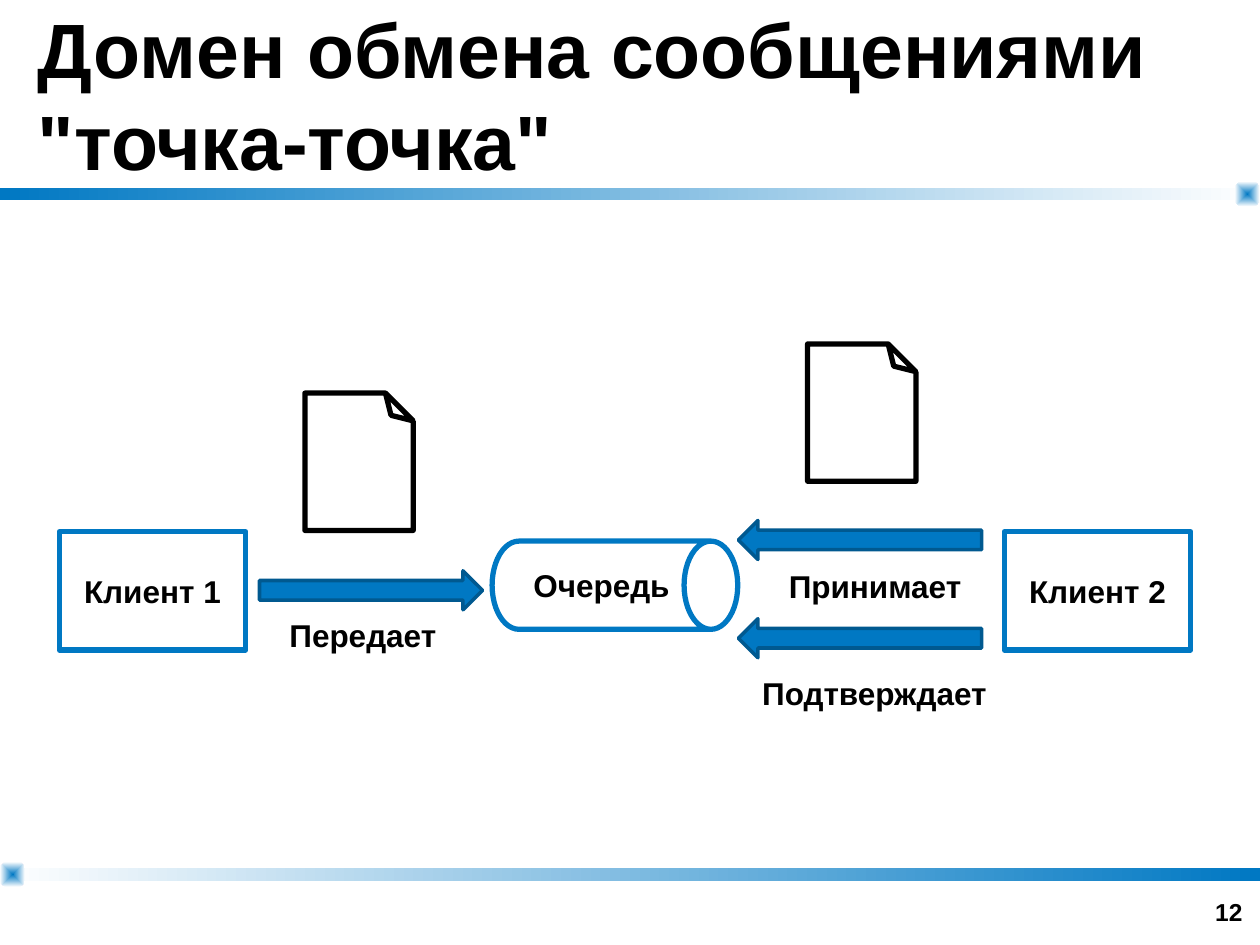
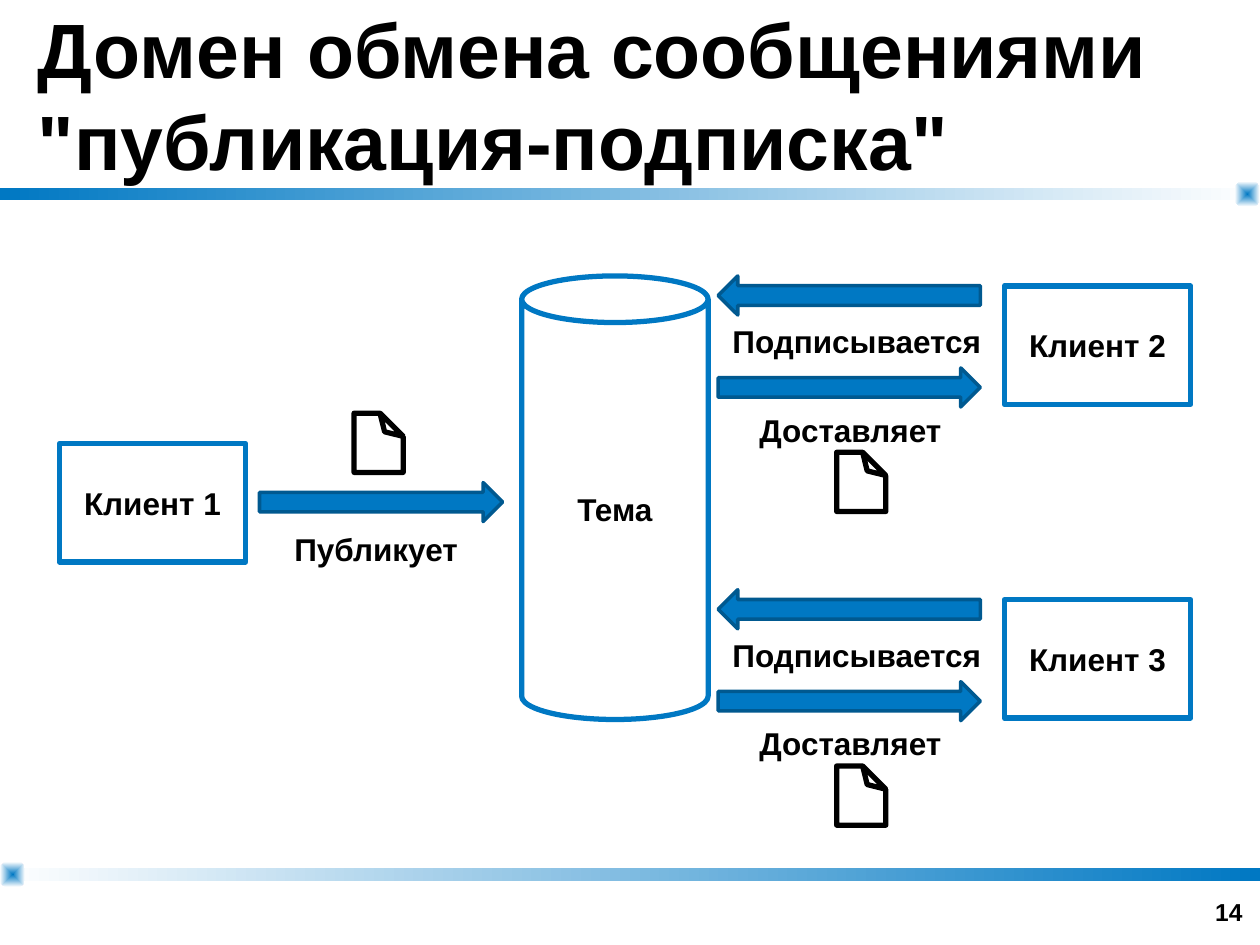
from pptx import Presentation
from pptx.dml.color import RGBColor
from pptx.enum.shapes import MSO_SHAPE
from pptx.enum.text import MSO_ANCHOR, MSO_AUTO_SIZE, PP_ALIGN
from pptx.oxml import parse_xml
from pptx.oxml.ns import nsdecls, qn
from pptx.util import Inches, Pt

BLUE = RGBColor(0x00, 0x78, 0xC3)
DARK_BLUE = RGBColor(0x00, 0x59, 0x90)
BLACK = RGBColor(0, 0, 0)
WHITE = RGBColor(255, 255, 255)
FONT = "Arial"
CLIENT_W, CLIENT_H = 1.48, 0.94
LEFT_X, RIGHT_X = 0.47, 7.97
ARROW_H, LABEL_H = 0.31, 0.4

BANDS = [(1.49, (BLUE, WHITE), 9.8), (6.89, (WHITE, BLUE), 0)]

SUBSCRIBERS = [("Клиент 2", 2.19), ("Клиент 3", 4.68)]

SLIDES = [
    {
        "title": 'Домен обмена сообщениями "точка-точка"',
        "number": "12",
        "clients": [("Клиент 1", LEFT_X, 4.22), ("Клиент 2", RIGHT_X, 4.22)],
        "store": ("Очередь", 4.53, 3.67, 0.7, 1.95, 0.609, True),
        "arrows": [(2.06, 4.53, 1.77, 0), (5.86, 4.13, 1.93, 180),
                   (5.86, 4.91, 1.93, 180)],
        "labels": [("Передает", 2.19, 4.84, 1.38), ("Принимает", 6.15, 4.45, 1.59),
                   ("Подтверждает", 5.94, 5.3, 2)],
        "message": (0.86, 1.09, 0.256),
        "messages": [(2.42, 3.12), (6.41, 2.73)],
    },
    {
        "title": 'Домен обмена сообщениями "публикация-подписка"',
        "number": "14",
        "clients": [("Клиент 1", LEFT_X, 3.52)]
        + [(name, RIGHT_X, y + 0.08) for name, y in SUBSCRIBERS],
        "store": ("Тема", 4.14, 2.19, CLIENT_W, 3.52, 0.25, False),
        "arrows": [(2.06, 3.83, 1.93, 0)]
        + [(5.7, y + dy, 2.08, turn) for _, y in SUBSCRIBERS
           for dy, turn in ((0, 180), (0.73, 0))],
        "labels": [("Публикует", 2.23, 4.16, 1.51)]
        + [(text, x, y + dy, w) for _, y in SUBSCRIBERS
           for text, x, dy, w in (("Подписывается", 5.7, 0.32, 2.2),
                                  ("Доставляет", 5.92, 1.02, 1.66))],
        "message": (0.39, 0.47, 0.472),
        "messages": [(2.81, 3.28)] + [(6.64, y + 1.4) for _, y in SUBSCRIBERS],
    },
]


def write(tf, text, size=18, align=PP_ALIGN.CENTER, anchor=MSO_ANCHOR.MIDDLE):
    tf.text = text
    tf.vertical_anchor = anchor
    p = tf.paragraphs[0]
    p.alignment = align
    p.font.name, p.font.size, p.font.bold = FONT, Pt(size), True
    p.font.color.rgb = BLACK


def add_shape(s, kind, x, y, w, h, fill=None, line=None, width=3):
    sp = s.shapes.add_shape(kind, *map(Inches, (x, y, w, h)))
    sp.shadow.inherit = False
    if fill:
        sp.fill.solid()
        sp.fill.fore_color.rgb = fill
    else:
        sp.fill.background()
    if line:
        sp.line.color.rgb = line
        sp.line.width = Pt(width)
    else:
        sp.line.fill.background()
    return sp


def add_text(s, text, x, y, w, h, **style):
    tf = s.shapes.add_textbox(*map(Inches, (x, y, w, h))).text_frame
    write(tf, text, **style)
    return tf


def set_gradient(sp, colours):
    sp.fill.gradient()
    sp.fill.gradient_angle = 0
    for stop, colour in zip(sp.fill.gradient_stops, colours):
        stop.color.rgb = colour


def add_band(s, y, colours, corner_x):
    set_gradient(add_shape(s, MSO_SHAPE.RECTANGLE, 0, y, 10, 0.1), colours)
    corner = add_shape(s, MSO_SHAPE.ROUNDED_RECTANGLE, corner_x, y - 0.05, 0.2, 0.2)
    corner.adjustments[0] = 0.318
    set_gradient(corner, (BLUE, WHITE))
    lin = corner._element.spPr.find(qn("a:gradFill")).find(qn("a:lin"))
    lin.getparent().replace(lin, parse_xml(
        f'<a:path {nsdecls("a")} path="shape">'
        '<a:fillToRect l="50000" t="50000" r="50000" b="50000"/></a:path>'))


def add_frame(s, title, number):
    for band in BANDS:
        add_band(s, *band)
    sp = s.shapes.title
    sp.left, sp.top, sp.width, sp.height = map(Inches, (0.2, 0, 9.6, 1.49))
    write(sp.text_frame, title, size=44, align=PP_ALIGN.LEFT)
    sp.text_frame.auto_size = MSO_AUTO_SIZE.NONE
    add_text(s, number, 7.63, 6.9, 2.33, 0.5, size=14,
             align=PP_ALIGN.RIGHT, anchor=MSO_ANCHOR.BOTTOM).word_wrap = True


def add_store(s, text, x, y, w, h, rim, lying):
    sp = add_shape(s, MSO_SHAPE.CAN, x, y, w, h, line=BLUE)
    sp.adjustments[0] = rim
    write(sp.text_frame, text)
    if lying:
        sp.rotation = 90
        sp.text_frame._txBody.bodyPr.set("vert", "vert270")


def add_message(s, x, y, w, h, fold):
    sp = add_shape(s, MSO_SHAPE.FOLDED_CORNER, x, y, w, h, line=BLACK)
    spPr = sp._element.spPr
    spPr.find(qn("a:prstGeom")).find(qn("a:avLst")).append(parse_xml(
        f'<a:gd {nsdecls("a")} name="adj" fmla="val {round(fold * 100000)}"/>'))
    spPr.find(qn("a:xfrm")).set("flipV", "1")


def build_slide(prs, data):
    s = prs.slides.add_slide(prs.slide_layouts[5])
    add_frame(s, data["title"], data["number"])
    for name, x, y in data["clients"]:
        sp = add_shape(s, MSO_SHAPE.RECTANGLE, x, y, CLIENT_W, CLIENT_H, line=BLUE)
        write(sp.text_frame, name)
    add_store(s, *data["store"])
    for x, y, w, turn in data["arrows"]:
        sp = add_shape(s, MSO_SHAPE.RIGHT_ARROW, x, y, w, ARROW_H, BLUE, DARK_BLUE, 2)
        sp.rotation = turn
    for text, x, y, w in data["labels"]:
        tf = add_text(s, text, x, y, w, LABEL_H, anchor=MSO_ANCHOR.TOP)
        tf.word_wrap = False
        tf.auto_size = MSO_AUTO_SIZE.SHAPE_TO_FIT_TEXT
    for x, y in data["messages"]:
        add_message(s, x, y, *data["message"])


def main():
    prs = Presentation()
    prs.slide_width, prs.slide_height = Inches(10), Inches(7.5)
    for data in SLIDES:
        build_slide(prs, data)
    prs.save("out.pptx")


if __name__ == "__main__":
    main()
